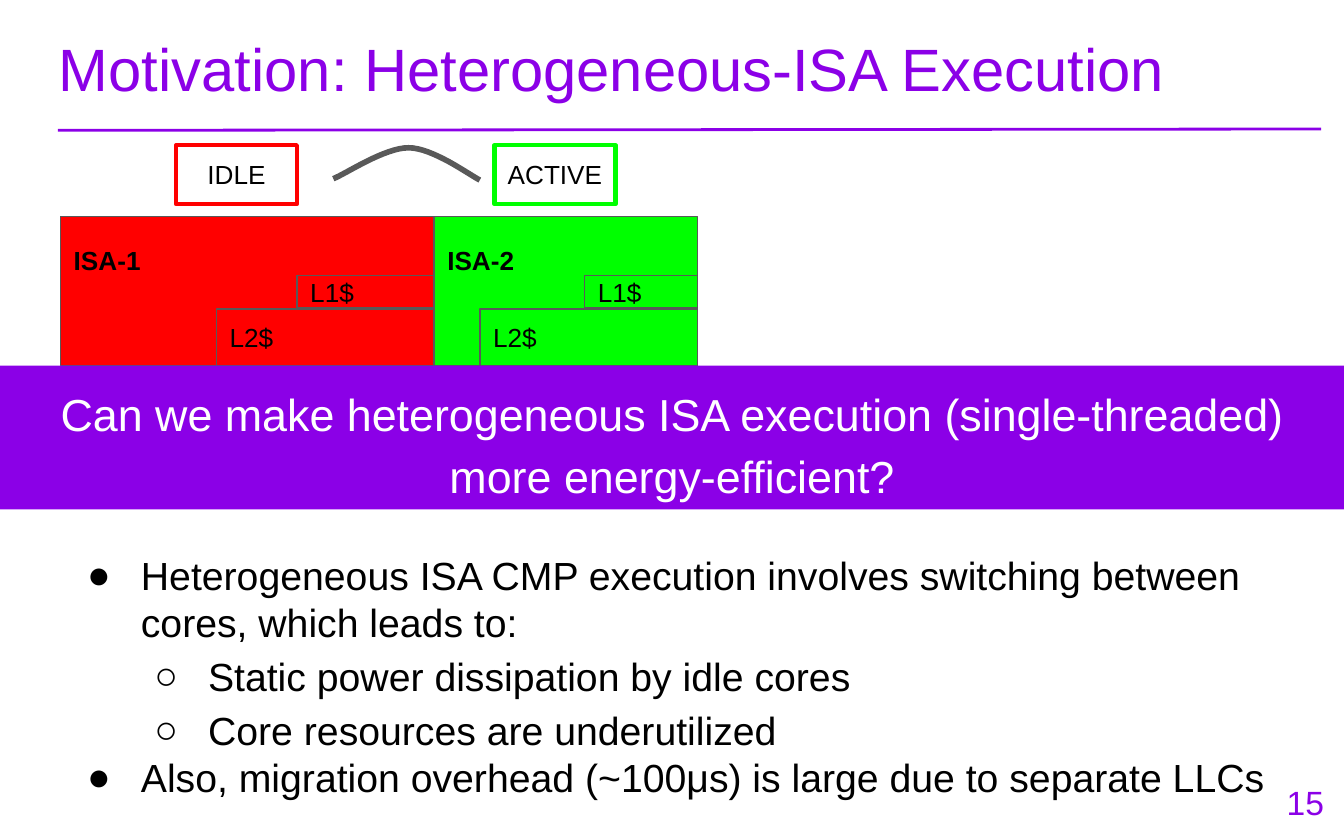
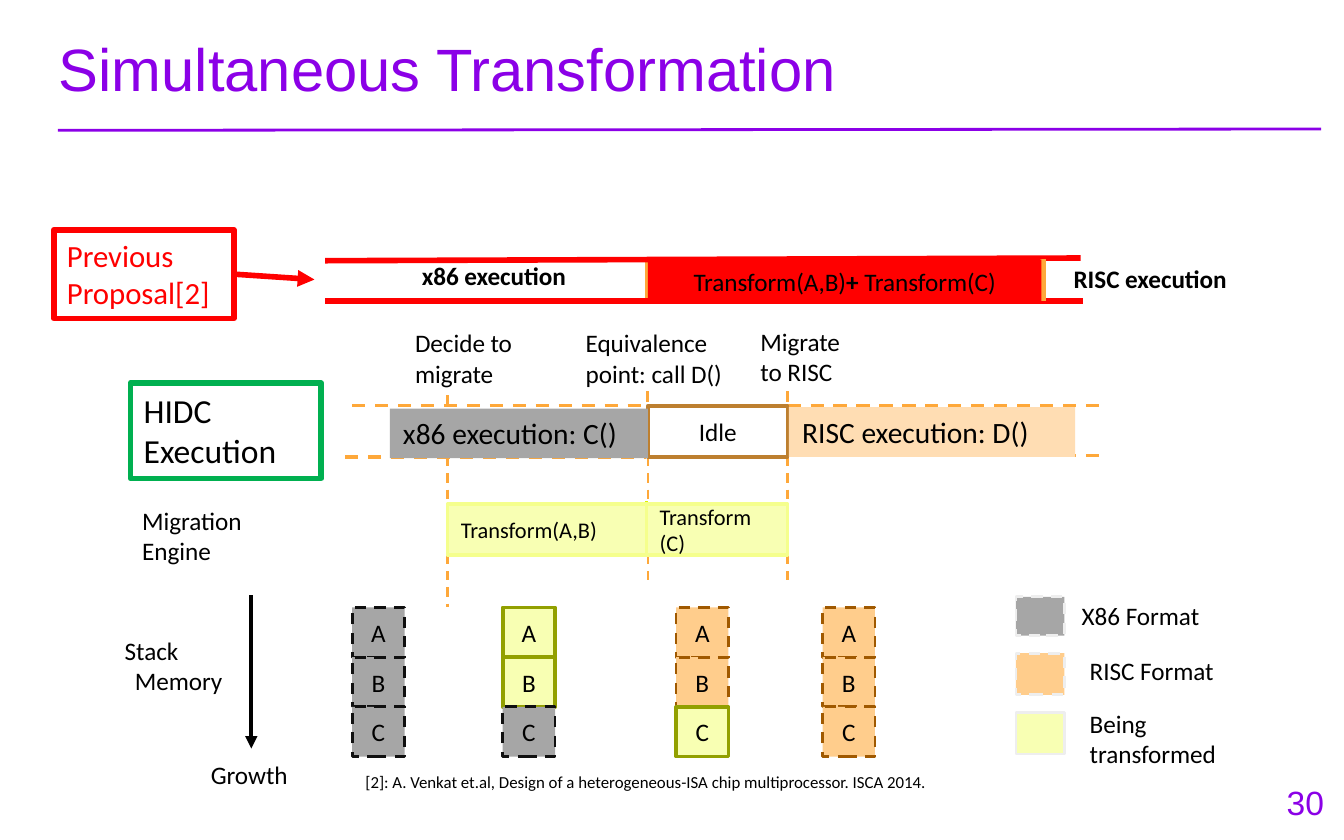
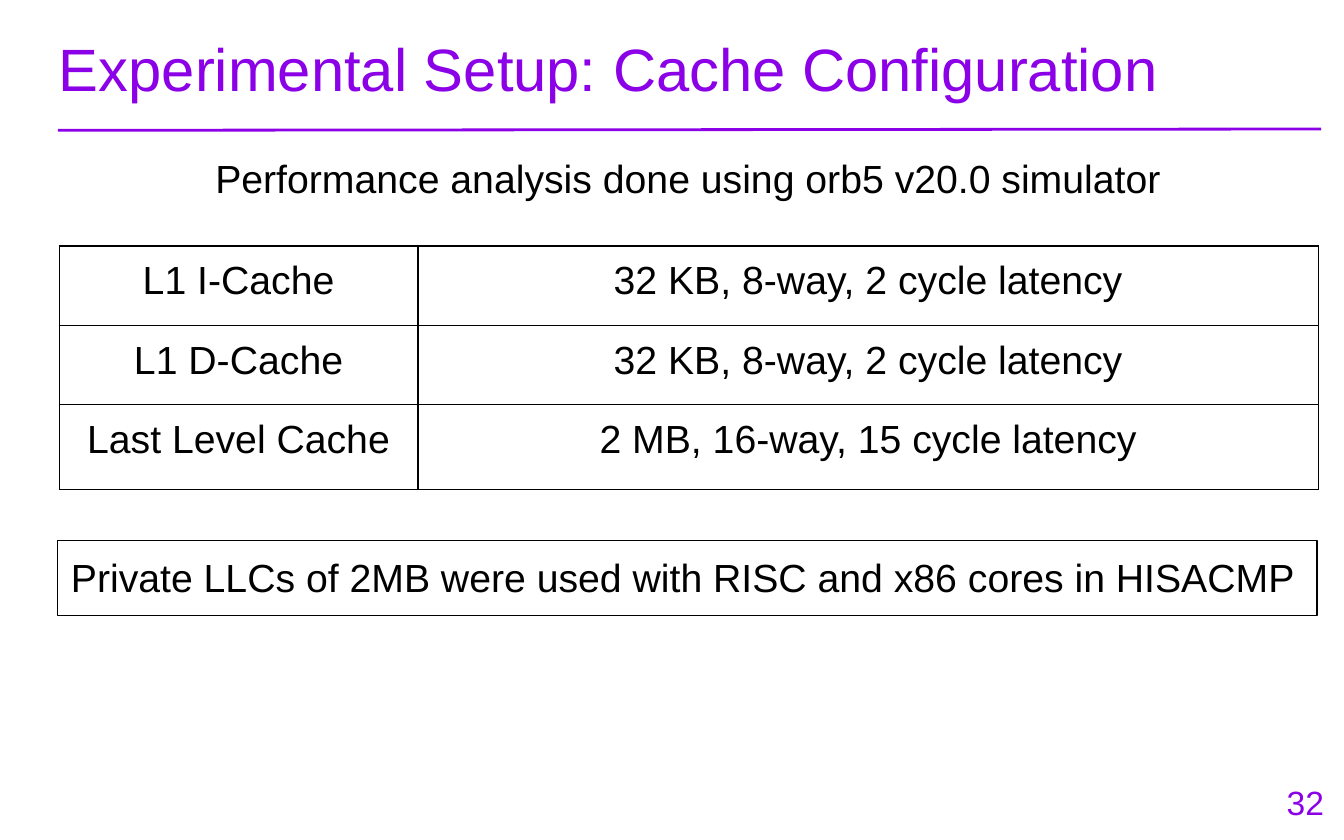
from pptx import Presentation
from pptx import util as u
from pptx.dml.color import RGBColor
from pptx.enum import dml, shapes, text
from pptx.oxml import ns, xmlchemy

PURPLE = RGBColor(0x8B, 0x00, 0xE7)
BLACK = RGBColor(0, 0, 0)
WHITE = RGBColor(0xFF, 0xFF, 0xFF)
RED = RGBColor(0xFF, 0, 0)
LIME = RGBColor(0, 0xFF, 0)
GREEN = RGBColor(0, 0xB0, 0x50)
DARK_GREY = RGBColor(0x59, 0x59, 0x59)
GREY = RGBColor(0xA6, 0xA6, 0xA6)
PALE_GREY = RGBColor(0xEE, 0xEE, 0xEE)
CHARCOAL = RGBColor(0x10, 0x10, 0x10)
AMBER = RGBColor(0xFE, 0xA8, 0x3A)
BROWN = RGBColor(0xBD, 0x7F, 0x2F)
DARK_BROWN = RGBColor(0xA0, 0x59, 0x00)
ORANGE = RGBColor(0xFF, 0xCD, 0x8C)
PEACH = RGBColor(0xFF, 0xDD, 0xB3)
YELLOW = RGBColor(0xF8, 0xFF, 0xB3)
BRIGHT_YELLOW = RGBColor(0xF5, 0xFF, 0x8D)
LEMON = RGBColor(0xDB, 0xF0, 0x00)
OLIVE = RGBColor(0x92, 0xA0, 0x00)

LEFT, CENTER, RIGHT = text.PP_ALIGN.LEFT, text.PP_ALIGN.CENTER, text.PP_ALIGN.RIGHT
TOP, MIDDLE = text.MSO_ANCHOR.TOP, text.MSO_ANCHOR.MIDDLE

# Fill and outline of a stack frame in each format
X86 = (GREY, (CHARCOAL, 1.5, True))
RISC = (ORANGE, (DARK_BROWN, 1.5, True))
MOVING = (YELLOW, (OLIVE, 2))


def inches(values):
    return [u.Inches(value) for value in values]


def add_xml(parent, tag, **attributes):
    child = xmlchemy.OxmlElement(tag)
    for name, value in attributes.items():
        child.set(name, str(value))
    parent.append(child)
    return child


def set_line(line, color, width, dashed=False):
    line.color.rgb = color
    line.width = u.Pt(width)
    if dashed:
        line.dash_style = dml.MSO_LINE.DASH


def style_para(para, size, font="Calibri", color=BLACK, bold=False, align=LEFT):
    para.alignment = align
    para.font.size = u.Pt(size)
    para.font.name = font
    para.font.color.rgb = color
    para.font.bold = bold


def add_box(page, at, lines=(), size=13.5, fill=None, line=None, anchor=TOP,
            inset=0.05, spacing=None, wrap=True, **style):
    """Add a rectangle, or a text box if it has neither fill nor line."""
    if fill is None and line is None:
        box = page.shapes.add_textbox(*inches(at))
    else:
        box = page.shapes.add_shape(shapes.MSO_SHAPE.RECTANGLE, *inches(at))
        box.shadow.inherit = False
        if fill is None:
            box.fill.background()
        else:
            box.fill.solid()
            box.fill.fore_color.rgb = fill
        if line is None:
            box.line.fill.background()
        else:
            set_line(box.line, *line)
    frame = box.text_frame
    frame.word_wrap = wrap
    frame.vertical_anchor = anchor
    frame.margin_top = frame.margin_bottom = u.Inches(inset)
    for index, words in enumerate(lines):
        para = frame.add_paragraph() if index else frame.paragraphs[0]
        para.text = words
        style_para(para, size, **style)
        if spacing:
            para.line_spacing = spacing
    return box


def add_line(page, start, end, color, width, dashed=False, arrow=False):
    line = page.shapes.add_connector(
        shapes.MSO_CONNECTOR.STRAIGHT, *inches(start + end))
    set_line(line.line, color, width, dashed)
    if arrow:
        add_xml(line.line._get_or_add_ln(), "a:tailEnd", type="triangle")
    add_xml(line._element.spPr, "a:effectLst")
    return line


def add_page(deck, title, number):
    page = deck.slides.add_slide(deck.slide_layouts[6])
    add_line(page, (0.43, 0.97), (9.83, 0.96), PURPLE, 1.5)
    add_box(page, (0.34, 0.14, 9.32, 0.7), [title], 32, inset=0.1,
            font="Arial", color=PURPLE)
    add_box(page, (9.25, 5.73, 0.7, 0.48), [str(number)], 18, anchor=MIDDLE,
            font="Arial", color=PURPLE, align=RIGHT)
    return page


def add_core(page, name, left, width, l1_width, color):
    """Draw a core with its two caches, right-aligned inside it."""
    line = (DARK_GREY, 0.75)
    right = left + width
    add_box(page, (left, 1.61, width, 1.11), [name], 14, color, line,
            inset=0.21, font="Arial", bold=True)
    for cache, top, cache_width, height in (
            ("L1$", 2.05, l1_width, 0.24), ("L2$", 2.3, 1.62, 0.42)):
        add_box(page, (right - cache_width, top, cache_width, height), [cache],
                14, color, line, MIDDLE, font="Arial")


def add_arc(page):
    """Draw the migration arc from two cubic curves."""
    curves = [((3.57, 1.34), (3.49, 1.3), (3.22, 1.1), (3.04, 1.1)),
              ((3.04, 1.1), (2.86, 1.1), (2.58, 1.29), (2.48, 1.33))]
    steps = 16
    points = []
    for curve in curves:
        for step in range(1, steps + 1):
            t = step / steps
            weights = ((1 - t) ** 3, 3 * t * (1 - t) ** 2, 3 * t * t * (1 - t), t ** 3)
            points.append(inches(sum(w * p[axis] for w, p in zip(weights, curve))
                                 for axis in (0, 1)))
    builder = page.shapes.build_freeform(*inches(curves[0][0]))
    builder.add_line_segments(points, close=False)
    arc = builder.convert_to_shape()
    arc.shadow.inherit = False
    arc.fill.background()
    set_line(arc.line, DARK_GREY, 3)


def add_bullets(page, at, items):
    box = add_box(page, at, [words for _, words in items], 21, inset=0.1,
                  font="Arial")
    for para, (level, _) in zip(box.text_frame.paragraphs, items):
        para.level = level
        if level:
            para.line_spacing = 1.15
        props = para._p.get_or_add_pPr()
        props.set("marL", str(u.Inches(0.5 + 0.5 * level)))
        props.set("indent", str(u.Inches(-0.4)))
        for tag, name, value in (("a:buFont", "typeface", "Arial"),
                                 ("a:buChar", "char", "●○"[level])):
            bullet = xmlchemy.OxmlElement(tag)
            bullet.set(name, value)
            props.find(ns.qn("a:defRPr")).addprevious(bullet)


def add_stack(page, left, formats):
    for index, (name, (fill, line)) in enumerate(zip("ABC", formats)):
        add_box(page, (left, 4.52 + 0.37 * index, 0.39, 0.37), [name],
                fill=fill, line=line, anchor=MIDDLE, align=CENTER)


def add_cache_table(page, rows):
    table = page.shapes.add_table(
        len(rows), 3, *inches((0.44, 1.83, 9.37, 1.81))).table
    table.first_row = table.horz_banding = False
    for column, width in zip(table.columns, (2.67, 3.52, 3.18)):
        column.width = u.Inches(width)
    for row, height, words in zip(table.rows, (0.59, 0.59, 0.63), rows):
        row.height = u.Inches(height)
        row.cells[1].merge(row.cells[2])
        for index, cell in enumerate(row.cells):
            cell.margin_top = cell.margin_bottom = u.Inches(0.1)
            if index < len(words):
                para = cell.text_frame.paragraphs[0]
                para.text = words[index]
                style_para(para, 21, "Arial", align=CENTER)
            props = cell._tc.get_or_add_tcPr()
            for side in ("a:lnL", "a:lnR", "a:lnT", "a:lnB"):
                border = add_xml(props, side, w=u.Pt(0.75))
                add_xml(add_xml(border, "a:solidFill"), "a:srgbClr", val=BLACK)
            cell.fill.background()


def build_motivation(deck):
    page = add_page(deck, "Motivation: Heterogeneous-ISA Execution", 15)
    add_core(page, "ISA-1", 0.45, 2.78, 1.02, RED)
    add_core(page, "ISA-2", 3.23, 1.96, 0.84, LIME)
    for state, left, color in (("IDLE", 1.31, RED), ("ACTIVE", 3.68, LIME)):
        add_box(page, (left, 1.08, 0.9, 0.44), [state], 14, line=(color, 2.25),
                inset=0.1, wrap=False, font="Arial", align=CENTER)
    add_arc(page)
    add_bullets(page, (0.45, 4, 9.32, 2.08), [
        (0, "Heterogeneous ISA CMP execution involves switching between cores, "
            "which leads to:"),
        (1, "Static power dissipation by idle cores"),
        (1, "Core resources are underutilized"),
        (0, "Also, migration overhead (~100μs) is large due to separate LLCs")])
    add_box(page, (0, 2.72, 10, 1.07),
            ["Can we make heterogeneous ISA execution (single-threaded) "
             "more energy-efficient?"],
            24, PURPLE, inset=0.1, spacing=1.15, font="Arial", color=WHITE,
            align=CENTER)


def add_hidc_timeline(page):
    for x, tick_bottom, tick_top, guide_bottom in (
            (3.33, 3.02, 2.89, 4.52), (4.82, 2.99, 2.85, 4.35),
            (5.86, 2.99, 2.86, 4.34)):
        add_line(page, (x, tick_bottom), (x, tick_top), AMBER, 1.5, True)
        add_line(page, (x, 3.4), (x, guide_bottom), AMBER, 1.25, True)
    for left, right, y in ((2.62, 4.82, 3.02), (2.57, 4.81, 3.4),
                           (5.86, 8.25, 3.02), (5.86, 8.25, 3.39)):
        add_line(page, (left, y), (right, y), AMBER, 1.75, True)
    add_box(page, (4.82, 3.02, 1.04, 0.38), ["Idle"], fill=WHITE,
            line=(BROWN, 2), anchor=MIDDLE, align=CENTER)
    add_line(page, (4.81, 3.73), (4.81, 4.11), LEMON, 1.25)
    for words, left, width in (("Transform(A,B)", 3.33, 1.49),
                               ("Transform (C)", 4.81, 1.05)):
        add_box(page, (left, 3.75, width, 0.38), [words], 12, YELLOW,
                (BRIGHT_YELLOW, 1.75), MIDDLE)
    add_box(page, (2.9, 3.04, 1.92, 0.37), ["x86 execution: C()"], 15.8, GREY)
    add_box(page, (5.87, 3.03, 2.13, 0.37), ["RISC execution: D()"], 15.8, PEACH)
    add_box(page, (0.97, 2.85, 1.42, 0.71), ["HIDC Execution"], 18,
            line=(GREEN, 3))


def add_previous_timeline(page):
    add_line(page, (4.82, 1.93), (4.82, 2.24), AMBER, 3)
    add_line(page, (2.42, 1.94), (8.04, 1.92), RED, 3)
    add_line(page, (2.42, 2.24), (8.06, 2.24), RED, 3)
    add_line(page, (7.76, 1.93), (7.76, 2.24), AMBER, 3)
    add_box(page, (3.04, 1.89, 1.52, 0.33), ["x86 execution"], bold=True)
    transform = add_box(page, (4.82, 1.93, 2.93, 0.33), [""], fill=RED,
                        align=CENTER)
    para = transform.text_frame.paragraphs[0]
    for words in ("Transform(A,B)", "+ ", "Transform(C)"):
        span = para.add_run()
        span.text = words
        span.font.bold = words == "+ "
    add_box(page, (7.89, 1.91, 1.89, 0.33), ["RISC execution"], bold=True)
    proposal = add_box(page, (0.4, 1.71, 1.34, 0.66), ["Previous Proposal[2]"],
                       16.5, line=(RED, 3), color=RED)
    arrow = add_line(page, (1.74, 2.04), (2.34, 2.08), RED, 3, arrow=True)
    arrow.begin_connect(proposal, 3)


def build_transformation(deck):
    page = add_page(deck, "Simultaneous Transformation", 30)
    add_line(page, (1.87, 4.43), (1.87, 5.57), BLACK, 2.25, arrow=True)
    add_hidc_timeline(page)
    add_previous_timeline(page)
    for left, formats in ((2.62, (X86, X86, X86)), (3.74, (MOVING, MOVING, X86)),
                          (5.03, (RISC, RISC, MOVING)), (6.12, (RISC, RISC, RISC))):
        add_stack(page, left, formats)
    for top, height, fill, dashed in ((4.44, 0.29, GREY, True),
                                      (4.86, 0.31, ORANGE, True),
                                      (5.3, 0.31, YELLOW, False)):
        add_box(page, (7.56, top, 0.36, height), fill=fill,
                line=(PALE_GREY, 1.5, dashed))
    memory = add_box(page, (0.83, 4.68, 1, 0.56), ["Stack", "Memory"])
    memory.text_frame.paragraphs[1].alignment = CENTER
    for at, lines in (
            ((1.47, 5.6, 0.81, 0.33), ["Growth"]),
            ((0.96, 3.71, 1.27, 0.56), ["Migration", "Engine"]),
            ((2.99, 2.39, 0.94, 0.56), ["Decide to", "migrate"]),
            ((4.26, 2.39, 1.26, 0.56), ["Equivalence point: call D()"]),
            ((5.56, 2.38, 0.9, 0.56), ["Migrate to RISC"]),
            ((7.95, 4.42, 1.22, 0.33), ["X86 Format"]),
            ((8.01, 4.83, 1.23, 0.33), ["RISC Format"]),
            ((8.01, 5.22, 1.23, 0.56), ["Being transformed"])):
        add_box(page, at, lines)
    add_box(page, (2.62, 5.69, 6.22, 0.25),
            ["[2]: A. Venkat et.al, Design of a heterogeneous-ISA chip "
             "multiprocessor. ISCA 2014."], 9)


def build_setup(deck):
    page = add_page(deck, "Experimental Setup: Cache Configuration", 32)
    add_box(page, (0.46, 1.05, 9.32, 0.56),
            ["Performance analysis done using orb5 v20.0 simulator"], 21,
            inset=0.1, font="Arial", align=CENTER)
    add_cache_table(page, [
        ("L1 I-Cache", "32 KB, 8-way, 2 cycle latency"),
        ("L1 D-Cache", "32 KB, 8-way, 2 cycle latency"),
        ("Last Level Cache", "2 MB, 16-way, 15 cycle latency")])
    add_box(page, (0.43, 4.02, 9.37, 0.56),
            ["Private LLCs of 2MB were used with RISC and x86 cores in HISACMP"],
            21, line=(BLACK, 0.75), inset=0.1, font="Arial")


def main():
    deck = Presentation()
    deck.slide_width, deck.slide_height = inches((10, 6.25))
    build_motivation(deck)
    build_transformation(deck)
    build_setup(deck)
    deck.save("out.pptx")


if __name__ == "__main__":
    main()
